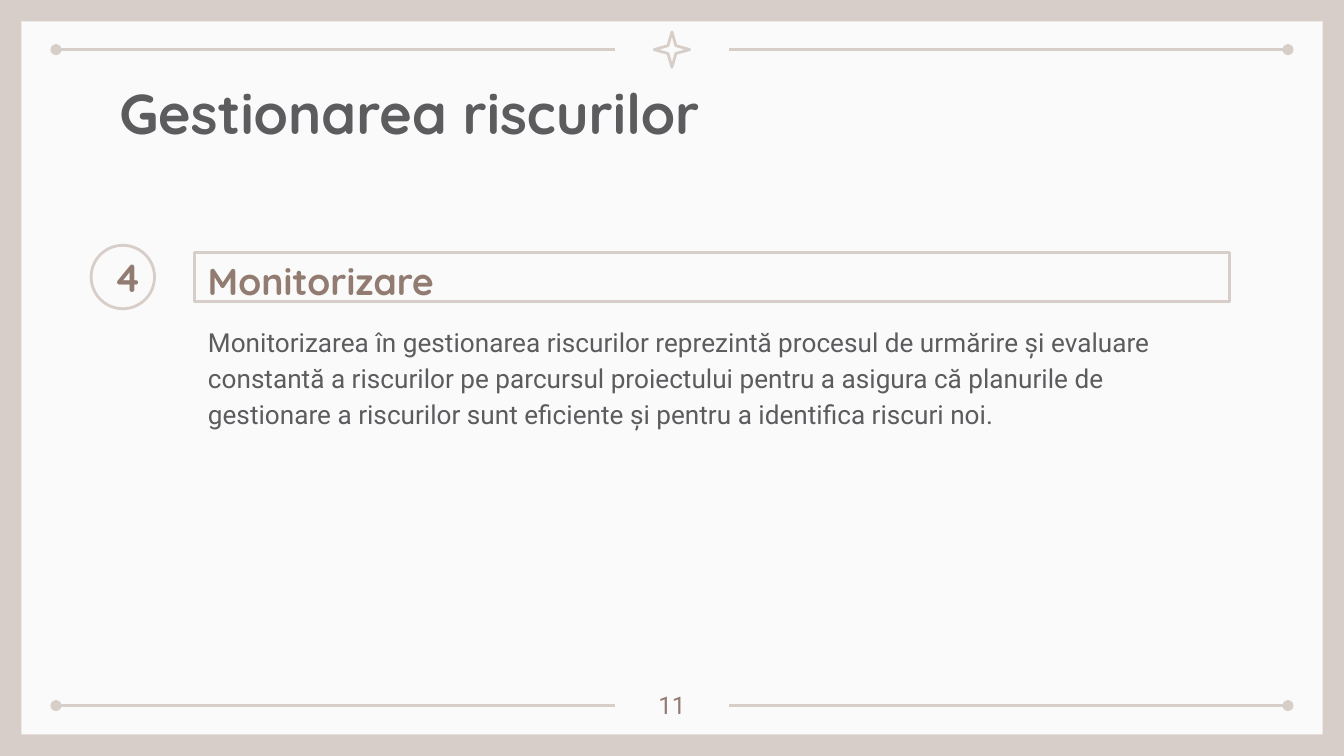
import dataclasses
from typing import Any

import pptx
import pptx.dml.color
import pptx.enum.shapes
import pptx.enum.text
import pptx.oxml.ns
import pptx.util
from lxml import etree

Pt = pptx.util.Pt
RGBColor = pptx.dml.color.RGBColor
Shapes = pptx.enum.shapes.MSO_SHAPE
Align = pptx.enum.text.PP_ALIGN
Anchor = pptx.enum.text.MSO_ANCHOR
qn = pptx.oxml.ns.qn

# Colours
SAND = RGBColor(0xD8, 0xCE, 0xC9)
PAPER = RGBColor(0xFA, 0xFA, 0xFA)
INK = RGBColor(0x5C, 0x5C, 0x5F)
BROWN = RGBColor(0x92, 0x7C, 0x71)

# Page geometry in points
WIDTH, HEIGHT = 720, 405
BORDER = 11.5
RULE_START, RULE_END = 30, 329.6
TOP_RULE, BOTTOM_RULE = 26.6, 378
STAR_SIZE = 19
LINE_WIDTH = 1.5
INSET = 7.2

# Text formats
TITLE = {"name": "Quicksand", "size": Pt(30), "bold": True, "color": INK}
HEADING = {"name": "Quicksand", "size": Pt(20), "bold": True, "color": BROWN}
NUMBER = {**HEADING, "size": Pt(21)}
BODY = {"name": "Roboto", "size": Pt(14), "bold": False, "color": INK}
PAGE = {"name": "Roboto", "size": Pt(13), "bold": False, "color": BROWN}


@dataclasses.dataclass(frozen=True)
class Box:
    left: float
    top: float
    width: float
    height: float

    def lengths(self) -> list[int]:
        return [Pt(value) for value in dataclasses.astuple(self)]


@dataclasses.dataclass(frozen=True)
class Rule:
    outer: float
    inner: float
    y: float


def write_text(shape: Any, text: str, text_format: dict[str, Any],
               alignment: Any = Align.LEFT, anchor: Any = Anchor.TOP,
               line_spacing: float = 1.0) -> None:
    frame = shape.text_frame
    frame_format = {
        "word_wrap": True,
        "auto_size": pptx.enum.text.MSO_AUTO_SIZE.NONE,
        "vertical_anchor": anchor,
        **{f"margin_{side}": Pt(INSET) for side in ("left", "top", "right", "bottom")},
    }
    for name, value in frame_format.items():
        setattr(frame, name, value)
    frame.text = text
    paragraph = frame.paragraphs[0]
    paragraph.alignment = alignment
    paragraph.line_spacing = line_spacing
    paragraph.space_before = Pt(0)
    font = paragraph.runs[0].font
    for name, value in text_format.items():
        if name == "color":
            font.color.rgb = value
        else:
            setattr(font, name, value)


def remove_bullet(paragraph: Any) -> None:
    properties = paragraph._p.get_or_add_pPr()
    properties.set("marL", "0")
    properties.set("indent", "0")
    etree.SubElement(properties, qn("a:buNone"))


def place(placeholder: Any, box: Box) -> None:
    """Position a placeholder and bring it to the front."""
    for name, value in zip(("left", "top", "width", "height"), box.lengths()):
        setattr(placeholder, name, value)
    placeholder.element.getparent().append(placeholder.element)


def draw_outline(slide: Any, kind: Any, box: Box) -> Any:
    shape = slide.shapes.add_shape(kind, *box.lengths())
    shape.shadow.inherit = False
    shape.fill.background()
    shape.line.color.rgb = SAND
    shape.line.width = Pt(LINE_WIDTH)
    etree.SubElement(shape.line._get_or_add_ln(), qn("a:round"))
    return shape


def draw_rule(slide: Any, rule: Rule) -> None:
    """Draw a line with a dot at its outer end."""
    connector = slide.shapes.add_connector(
        pptx.enum.shapes.MSO_CONNECTOR.STRAIGHT,
        Pt(min(rule.outer, rule.inner)), Pt(rule.y),
        Pt(max(rule.outer, rule.inner)), Pt(rule.y))
    connector.line.color.rgb = SAND
    connector.line.width = Pt(LINE_WIDTH)
    dot = "a:headEnd" if rule.outer < rule.inner else "a:tailEnd"
    etree.SubElement(connector.line._get_or_add_ln(), qn(dot), type="oval")
    etree.SubElement(connector.element.spPr, qn("a:effectLst"))


def draw_frame(slide: Any) -> None:
    # Sand border around a paper panel
    slide.background.fill.solid()
    slide.background.fill.fore_color.rgb = SAND
    panel = slide.shapes.add_shape(Shapes.RECTANGLE, *Box(
        BORDER, BORDER, WIDTH - 2 * BORDER, HEIGHT - 2 * BORDER).lengths())
    panel.shadow.inherit = False
    panel.fill.solid()
    panel.fill.fore_color.rgb = PAPER
    panel.line.fill.background()

    # Mirrored rules at top and bottom, star between the top pair
    for y in (TOP_RULE, BOTTOM_RULE):
        draw_rule(slide, Rule(RULE_START, RULE_END, y))
        draw_rule(slide, Rule(WIDTH - RULE_START, WIDTH - RULE_END, y))
    star = draw_outline(slide, Shapes.STAR_4_POINT, Box(
        (WIDTH - STAR_SIZE) / 2, TOP_RULE - STAR_SIZE / 2, STAR_SIZE, STAR_SIZE))
    star.adjustments[0] = 0.157


def main() -> None:
    presentation = pptx.Presentation()
    presentation.slide_width = Pt(WIDTH)
    presentation.slide_height = Pt(HEIGHT)
    slide = presentation.slides.add_slide(presentation.slide_layouts[1])
    draw_frame(slide)

    # Title
    title = slide.shapes.title
    place(title, Box(56.7, 35, 607, 45.4))
    write_text(title, "Gestionarea riscurilor", TITLE)

    # Page number
    page = slide.shapes.add_textbox(*Box(338.4, 362.5, 43.2, 26).lengths())
    write_text(page, "11", PAGE, Align.CENTER)

    # Step description, without a bullet
    body = slide.placeholders[1]
    place(body, Box(104.2, 165, 554.6, 72.7))
    write_text(
        body,
        "Monitorizarea în gestionarea riscurilor reprezintă procesul de urmărire "
        "și evaluare constantă a riscurilor pe parcursul proiectului pentru a "
        "asigura că planurile de gestionare a riscurilor sunt eficiente și pentru "
        "a identifica riscuri noi.",
        BODY, line_spacing=1.15)
    remove_bullet(body.text_frame.paragraphs[0])

    # Step heading and number
    heading = draw_outline(slide, Shapes.RECTANGLE, Box(104.2, 135.2, 554.6, 26.2))
    write_text(heading, "Monitorizare", HEADING, anchor=Anchor.MIDDLE, line_spacing=1.15)
    circle = draw_outline(slide, Shapes.OVAL, Box(48.8, 131.4, 34, 34))
    write_text(circle, "4", NUMBER, Align.CENTER, Anchor.MIDDLE)

    presentation.save("out.pptx")


if __name__ == "__main__":
    main()
